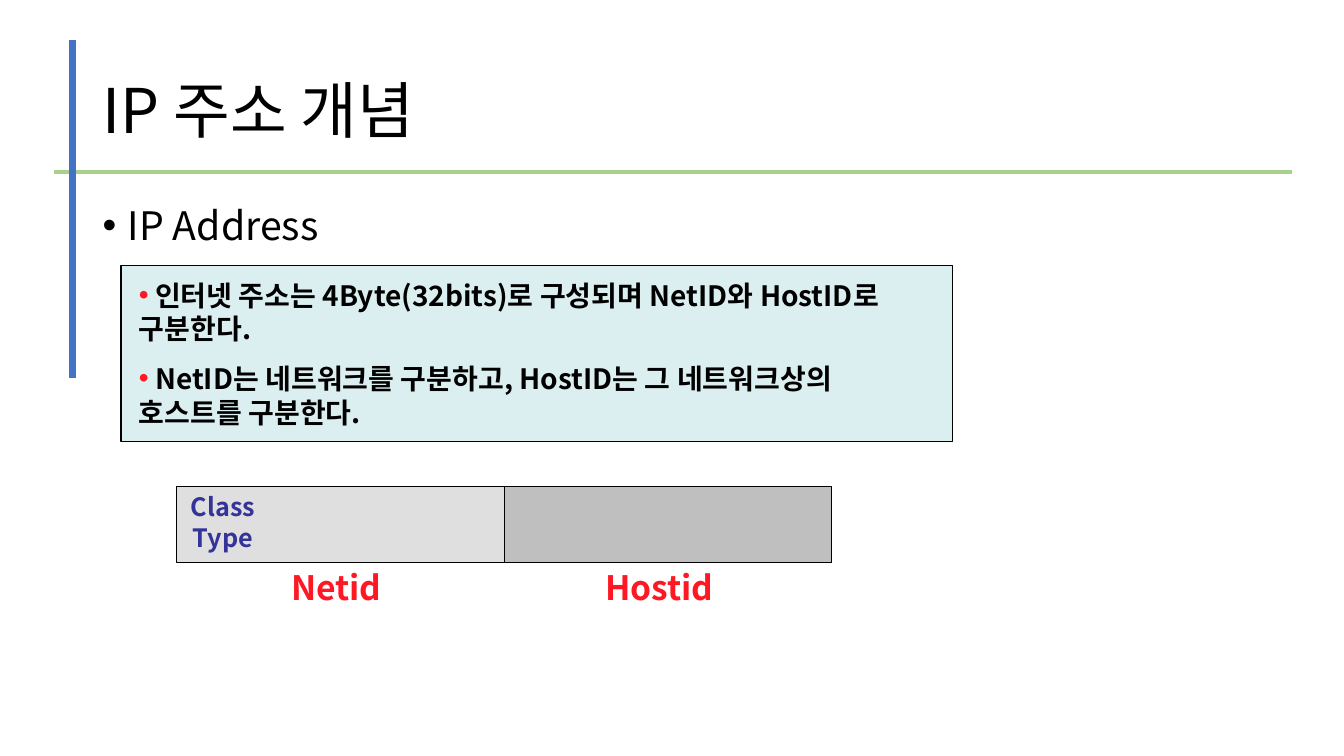
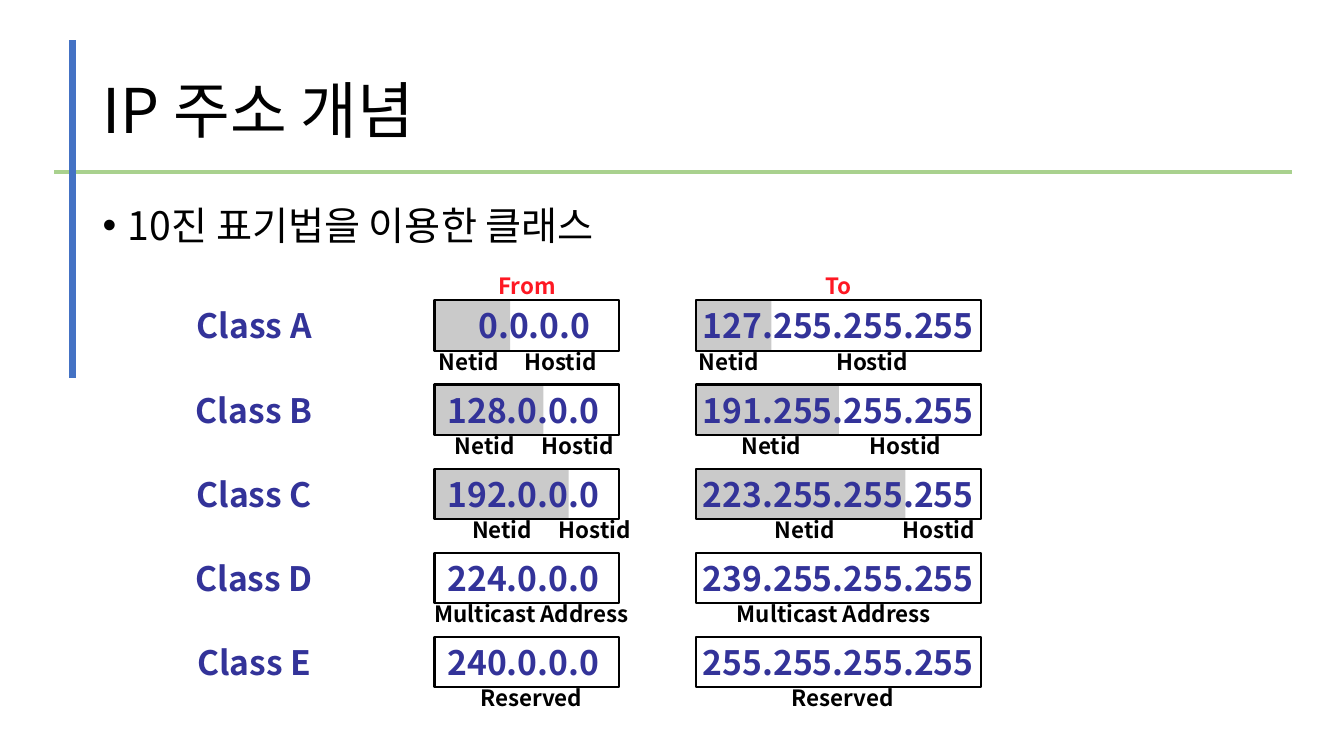
"""Build two slides that explain IP addresses and their classes."""
from dataclasses import dataclass
from typing import Optional

from lxml import etree
from pptx import Presentation
from pptx.dml.color import RGBColor
from pptx.enum.shapes import MSO_CONNECTOR, MSO_SHAPE
from pptx.enum.text import MSO_ANCHOR, MSO_AUTO_SIZE, PP_ALIGN
from pptx.oxml.ns import qn
from pptx.util import Inches, Pt

RECTANGLE = MSO_SHAPE.RECTANGLE
STRAIGHT = MSO_CONNECTOR.STRAIGHT
TOP, MIDDLE = MSO_ANCHOR.TOP, MSO_ANCHOR.MIDDLE
LEFT, CENTER = PP_ALIGN.LEFT, PP_ALIGN.CENTER
GROW, FIXED = MSO_AUTO_SIZE.SHAPE_TO_FIT_TEXT, MSO_AUTO_SIZE.NONE

FONT = "Noto Sans CJK KR"
BLACK = RGBColor(0x00, 0x00, 0x00)
RED = RGBColor(0xFE, 0x18, 0x23)
NAVY = RGBColor(0x33, 0x33, 0x99)
BLUE = RGBColor(0x44, 0x72, 0xC4)
GREEN = RGBColor(0xA9, 0xD1, 0x8E)
PALE_TEAL = RGBColor(0xBB, 0xE0, 0xE3)
LIGHT_GRAY = RGBColor(0xC0, 0xC0, 0xC0)
MID_GRAY = RGBColor(0x96, 0x96, 0x96)
DARK_GRAY = RGBColor(0x80, 0x80, 0x80)

TITLE = "IP 주소 개념"
FIRST_ROW_TOP, ROW_PITCH, ROW_HEIGHT = 2.98, 0.835, 0.5
HEADING_TOP, CAPTION_DROP, CAPTION_HEIGHT = 2.65, 0.42, 0.37
CAPTION_WIDTH = 2.25


@dataclass(frozen=True)
class Area:
    left: float
    top: float
    width: float
    height: float

    def lengths(self) -> tuple:
        return tuple(Inches(n) for n in (self.left, self.top, self.width, self.height))


@dataclass(frozen=True)
class TextStyle:
    size: float
    color: RGBColor = BLACK
    bold: bool = True
    align: PP_ALIGN = CENTER
    anchor: MSO_ANCHOR = TOP
    fit: MSO_AUTO_SIZE = GROW
    line_spacing: Optional[float] = None
    bullet_color: Optional[RGBColor] = None
    hanging: float = 0
    gap: float = 0


@dataclass(frozen=True)
class Caption:
    text: str
    center: float


@dataclass(frozen=True)
class AddressRow:
    address: str
    captions: tuple
    netid_width: float = 0
    nudge: float = 0


@dataclass(frozen=True)
class AddressColumn:
    heading: str
    frame_left: float
    frame_width: float
    text_left: float
    text_width: float
    rows: tuple


TITLE_STYLE = TextStyle(44, bold=False, align=LEFT, anchor=MIDDLE, fit=FIXED,
                        line_spacing=0.9)
TOPIC_STYLE = TextStyle(28, bold=False, align=LEFT, fit=FIXED, line_spacing=0.9,
                        bullet_color=BLACK, hanging=0.25)
NOTE_STYLE = TextStyle(20, align=LEFT, bullet_color=RED, gap=11.5)
FIELD_STYLE = TextStyle(18, NAVY)
PART_STYLE = TextStyle(24, RED)
ADDRESS_STYLE = TextStyle(24, NAVY)
HEADING_STYLE = TextStyle(16, RED)
CAPTION_STYLE = TextStyle(16)

NOTES = (
    " 인터넷 주소는 4Byte(32bits)로 구성되며 NetID와 HostID로 구분한다.",
    " NetID는 네트워크를 구분하고, HostID는 그 네트워크상의 호스트를 구분한다.",
)


def netid_hostid(netid: float, hostid: float) -> tuple:
    """Return the captions of an address that splits in two."""
    return Caption("Netid", netid), Caption("Hostid", hostid)


COLUMNS = (
    AddressColumn("From", 4.31, 1.83, 4.23, 1.92, (
        AddressRow("0.0.0.0", netid_hostid(4.65, 5.56), 0.75, nudge=0.11),
        AddressRow("128.0.0.0", netid_hostid(4.81, 5.73), 1.08),
        AddressRow("192.0.0.0", netid_hostid(4.98, 5.9), 1.33),
        AddressRow("224.0.0.0", (Caption("Multicast Address", 5.27),)),
        AddressRow("240.0.0.0", (Caption("Reserved", 5.27),)),
    )),
    AddressColumn("To", 6.9, 2.83, 6.65, 3.33, (
        AddressRow("127.255.255.255", netid_hostid(7.23, 8.65), 0.75),
        AddressRow("191.255.255.255", netid_hostid(7.65, 8.98), 1.42),
        AddressRow("223.255.255.255", netid_hostid(7.98, 9.31), 2.08),
        AddressRow("239.255.255.255", (Caption("Multicast Address", 8.27),)),
        AddressRow("255.255.255.255", (Caption("Reserved", 8.36),)),
    )),
)


def add_bullet(para, style: TextStyle) -> None:
    """Give a paragraph a round bullet and its indent."""
    properties = para._p.get_or_add_pPr()
    properties.set("marL", str(Inches(style.hanging)))
    properties.set("indent", str(-Inches(style.hanging)))
    color = etree.SubElement(properties, qn("a:buClr"))
    etree.SubElement(color, qn("a:srgbClr"), val=str(style.bullet_color))
    etree.SubElement(properties, qn("a:buFont"), typeface="Arial")
    etree.SubElement(properties, qn("a:buChar"), char="•")


def add_text(page, area: Area, text: str, style: TextStyle) -> None:
    """Add a text box with one paragraph for each line of text."""
    box = page.shapes.add_textbox(*area.lengths())
    frame = box.text_frame
    frame.text = text
    frame.word_wrap = True
    frame.auto_size = style.fit
    frame.vertical_anchor = style.anchor
    for index, para in enumerate(frame.paragraphs):
        if style.bullet_color is not None:
            add_bullet(para, style)
        para.alignment = style.align
        if style.line_spacing:
            para.line_spacing = style.line_spacing
        if index:
            para.space_before = Pt(style.gap)
        for span in para.runs:
            span.font.size = Pt(style.size)
            span.font.bold = style.bold
            span.font.color.rgb = style.color
            span.font.name = FONT
            etree.SubElement(span._r.get_or_add_rPr(), qn("a:ea"), typeface=FONT)


def add_rectangle(page, area: Area, fill: Optional[RGBColor] = None,
                  line_width: float = 0) -> None:
    """Add a rectangle with a half-transparent fill, a black outline or both."""
    box = page.shapes.add_shape(RECTANGLE, *area.lengths())
    box.shadow.inherit = False
    if fill is None:
        box.fill.background()
    else:
        box.fill.solid()
        box.fill.fore_color.rgb = fill
        color = box._element.spPr.find(qn("a:solidFill")).find(qn("a:srgbClr"))
        etree.SubElement(color, qn("a:alpha"), val="50000")
    if line_width:
        box.line.color.rgb = BLACK
        box.line.width = Pt(line_width)
    else:
        box.line.fill.background()


def add_rule(page, start: tuple, end: tuple, color: RGBColor, width: float) -> None:
    """Add a straight line without a shadow."""
    points = [Inches(n) for n in (*start, *end)]
    rule = page.shapes.add_connector(STRAIGHT, *points)
    rule.line.color.rgb = color
    rule.line.width = Pt(width)
    etree.SubElement(rule._element.spPr, qn("a:effectLst"))


def add_page(deck, topic: str):
    """Add a slide with the shared title, rules and topic line."""
    page = deck.slides.add_slide(deck.slide_layouts[6])
    add_text(page, Area(0.92, 0.4, 11.5, 1.45), TITLE, TITLE_STYLE)
    add_rule(page, (0.54, 1.71), (12.81, 1.71), GREEN, 3)
    add_rule(page, (0.72, 0.4), (0.72, 3.75), BLUE, 4.5)
    add_text(page, Area(0.92, 2, 11.5, 4.76), topic, TOPIC_STYLE)
    return page


def build_concept(deck) -> None:
    """Build the slide on the two parts of an address."""
    page = add_page(deck, "IP Address")
    add_rectangle(page, Area(1.2, 2.63, 8.25, 1.75), PALE_TEAL, 0.75)
    add_text(page, Area(1.28, 2.71, 8.08, 1.6), "\n".join(NOTES), NOTE_STYLE)
    for left, fill in ((1.75, LIGHT_GRAY), (5, DARK_GRAY)):
        add_rectangle(page, Area(left, 4.83, 3.25, 0.75), fill, 0.75)
    add_text(page, Area(1.67, 4.83, 1.08, 0.7), "Class Type", FIELD_STYLE)
    add_text(page, Area(2.75, 5.58, 1.17, 0.5), "Netid", PART_STYLE)
    add_text(page, Area(5.83, 5.58, 1.42, 0.5), "Hostid", PART_STYLE)


def add_caption(page, caption: Caption, top: float, style: TextStyle) -> None:
    """Add a small label centred on a given position."""
    left = caption.center - CAPTION_WIDTH / 2
    add_text(page, Area(left, top, CAPTION_WIDTH, CAPTION_HEIGHT), caption.text, style)


def add_address(page, column: AddressColumn, row: AddressRow, top: float) -> None:
    """Add one framed address with its network part and captions."""
    if row.netid_width:
        add_rectangle(page, Area(column.frame_left, top, row.netid_width, ROW_HEIGHT),
                      MID_GRAY)
    text_area = Area(column.text_left + row.nudge, top, column.text_width, ROW_HEIGHT)
    add_text(page, text_area, row.address, ADDRESS_STYLE)
    add_rectangle(page, Area(column.frame_left, top, column.frame_width, ROW_HEIGHT),
                  line_width=1.5)
    for caption in row.captions:
        add_caption(page, caption, top + CAPTION_DROP, CAPTION_STYLE)


def build_classes(deck) -> None:
    """Build the slide on the address range of each class."""
    page = add_page(deck, "10진 표기법을 이용한 클래스")
    row_tops = [FIRST_ROW_TOP + ROW_PITCH * index for index in range(5)]
    for letter, top in zip("ABCDE", row_tops):
        add_text(page, Area(1.23, top, 2.58, ROW_HEIGHT), f"Class {letter}",
                 ADDRESS_STYLE)
    for column in COLUMNS:
        center = column.frame_left + column.frame_width / 2
        add_caption(page, Caption(column.heading, center), HEADING_TOP, HEADING_STYLE)
        for row, top in zip(column.rows, row_tops):
            add_address(page, column, row, top)


def main() -> None:
    """Build and save the deck."""
    deck = Presentation()
    deck.slide_width, deck.slide_height = Inches(13.33), Inches(7.5)
    build_concept(deck)
    build_classes(deck)
    deck.save("out.pptx")


if __name__ == "__main__":
    main()
